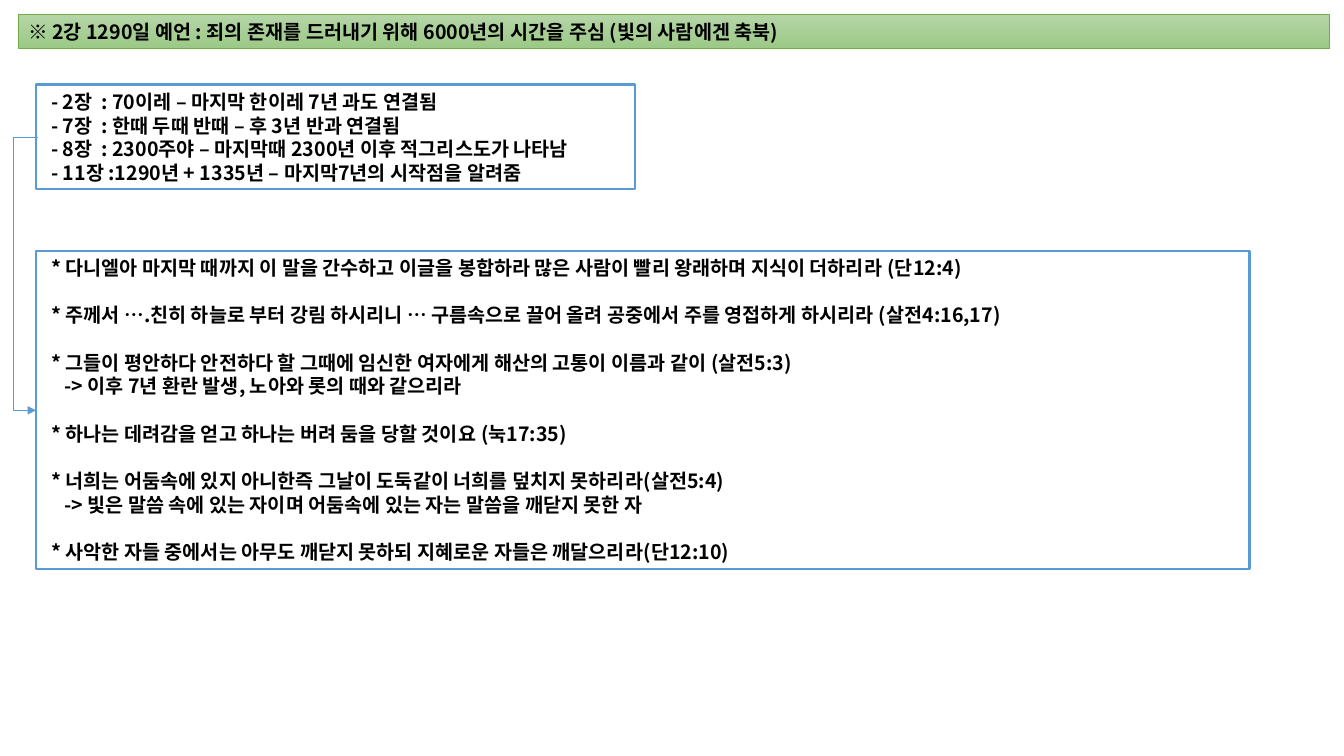
from dataclasses import dataclass

from lxml import etree
from pptx import Presentation, util as u
from pptx.dml.color import RGBColor
from pptx.enum import shapes, text
from pptx.oxml import ns


@dataclass(frozen=True)
class Theme:
    """Colours, typeface and type sizes of the slide."""
    font: str = "Noto Sans CJK KR"
    size: float = 14
    leading: float = 16.9
    ink: str = "000000"
    banner_top: str = "B5D5A7"
    banner_bottom: str = "9CC987"
    banner_edge: str = "70AD47"
    accent: str = "5B9BD5"
    thin: float = 0.5
    thick: float = 1.5


def child(parent, tag, **attributes):
    """Append a DrawingML element to a parent."""
    return etree.SubElement(parent, ns.qn(tag), attributes)


class LessonSlide:
    """Holds the theme and the current slide."""

    def __init__(self, deck, theme):
        """Add a slide with a title and two lists."""
        self.theme = theme
        self.slide = deck.slides.add_slide(deck.slide_layouts[3])

    def outline(self, line, colour, width):
        """Set a solid line."""
        line.color.rgb = RGBColor.from_string(colour)
        line.width = u.Pt(width)

    def place(self, holder, box, inset):
        """Move a placeholder and set its text frame."""
        holder.left, holder.top, holder.width, holder.height = map(u.Cm, box)
        frame = holder.text_frame
        frame.word_wrap = True
        frame.auto_size = text.MSO_AUTO_SIZE.NONE
        frame.margin_left, frame.margin_right = u.Cm(inset), u.Cm(0.25)
        frame.margin_top = frame.margin_bottom = u.Cm(0.13)
        return frame

    def set_words(self, paragraph, words, indent=0, gap=0, tab=None):
        """Set one bold line without a bullet."""
        theme = self.theme
        paragraph.alignment = text.PP_ALIGN.LEFT
        paragraph.line_spacing = u.Pt(theme.leading)
        paragraph.space_before = u.Pt(gap)
        paragraph.space_after = u.Pt(0)
        properties = paragraph._p.get_or_add_pPr()
        properties.set("marL", str(u.Cm(indent)))
        properties.set("indent", "0")
        child(properties, "a:buNone")
        if tab:
            stops = child(properties, "a:tabLst")
            child(stops, "a:tab", pos=str(u.Cm(tab)), algn="l")
        run = paragraph.add_run()
        run.text = words
        font = run.font
        font.name, font.size, font.bold = theme.font, u.Pt(theme.size), True
        font.color.rgb = RGBColor.from_string(theme.ink)
        child(run._r.get_or_add_rPr(), "a:ea", typeface=theme.font)

    def banner(self, words, box):
        """Format the title as a green gradient bar."""
        theme, title = self.theme, self.slide.shapes.title
        frame = self.place(title, box, 0.25)
        frame.vertical_anchor = text.MSO_ANCHOR.MIDDLE
        title.fill.gradient()
        title.fill.gradient_angle = 270
        ends = theme.banner_top, theme.banner_bottom
        for position, (stop, colour) in enumerate(zip(title.fill.gradient_stops, ends)):
            stop.position = position
            stop.color.rgb = RGBColor.from_string(colour)
        self.outline(title.line, theme.banner_edge, theme.thin)
        self.set_words(frame.paragraphs[0], words)

    def framed_list(self, index, box, groups, tab=None):
        """Fill a framed list; a line is left free between groups."""
        holder = self.slide.placeholders[index]
        frame = self.place(holder, box, 0.38)
        frame.vertical_anchor = text.MSO_ANCHOR.TOP
        self.outline(holder.line, self.theme.accent, self.theme.thick)
        paragraph = frame.paragraphs[0]
        for number, group in enumerate(groups):
            for row, words in enumerate(group):
                if number or row:
                    paragraph = frame.add_paragraph()
                gap = self.theme.leading if number and not row else 0
                indent = 0.33 if words.startswith("->") else 0
                self.set_words(paragraph, words, indent, gap, tab)

    def side_arrow(self, start, end, bend):
        """Draw an elbow arrow that turns at the given x."""
        arrow = self.slide.shapes.add_connector(
            shapes.MSO_CONNECTOR.ELBOW, *map(u.Cm, start + end))
        self.outline(arrow.line, self.theme.accent, self.theme.thin)
        properties = arrow._element.spPr
        ratio = round((start[0] - bend) / (start[0] - end[0]) * 100000)
        guides = properties.find(ns.qn("a:prstGeom")).find(ns.qn("a:avLst"))
        child(guides, "a:gd", name="adj1", fmla=f"val {ratio}")
        child(properties.find(ns.qn("a:ln")), "a:tailEnd", type="triangle")
        child(properties, "a:effectLst")


CHAPTERS = [[
    "- 2장\t: 70이레 – 마지막 한이레 7년 과도 연결됨",
    "- 7장\t: 한때 두때 반때 – 후 3년 반과 연결됨",
    "- 8장\t: 2300주야 – 마지막때 2300년 이후 적그리스도가 나타남",
    "- 11장 :1290년 + 1335년 – 마지막7년의 시작점을 알려줌",
]]
VERSES = [
    ["* 다니엘아 마지막 때까지 이 말을 간수하고 이글을 봉합하라 많은 사람이 빨리 왕래하며 지식이 더하리라 (단12:4)"],
    ["* 주께서 ….친히 하늘로 부터 강림 하시리니 … 구름속으로 끌어 올려 공중에서 주를 영접하게 하시리라 (살전4:16,17)"],
    ["* 그들이 평안하다 안전하다 할 그때에 임신한 여자에게 해산의 고통이 이름과 같이 (살전5:3)",
     "-> 이후 7년 환란 발생, 노아와 롯의 때와 같으리라"],
    ["* 하나는 데려감을 얻고 하나는 버려 둠을 당할 것이요 (눅17:35)"],
    ["* 너희는 어둠속에 있지 아니한즉 그날이 도둑같이 너희를 덮치지 못하리라(살전5:4)",
     "-> 빛은 말씀 속에 있는 자이며 어둠속에 있는 자는 말씀을 깨닫지 못한 자"],
    ["* 사악한 자들 중에서는 아무도 깨닫지 못하되 지혜로운 자들은 깨달으리라(단12:10)"],
]

deck = Presentation()
deck.slide_width, deck.slide_height = u.Cm(33.87), u.Cm(19.05)
lesson = LessonSlide(deck, Theme())
lesson.banner("※ 2강 1290일 예언 : 죄의 존재를 드러내기 위해 6000년의 시간을 주심 (빛의 사람에겐 축북)",
              (0.46, 0.36, 33.05, 0.86))
lesson.framed_list(1, (0.91, 2.13, 15.09, 2.64), CHAPTERS, tab=1.55)
lesson.framed_list(2, (0.91, 6.32, 30.58, 8.03), VERSES)
lesson.side_arrow((0.95, 3.45), (0.91, 10.34), bend=0.33)
deck.save("out.pptx")
